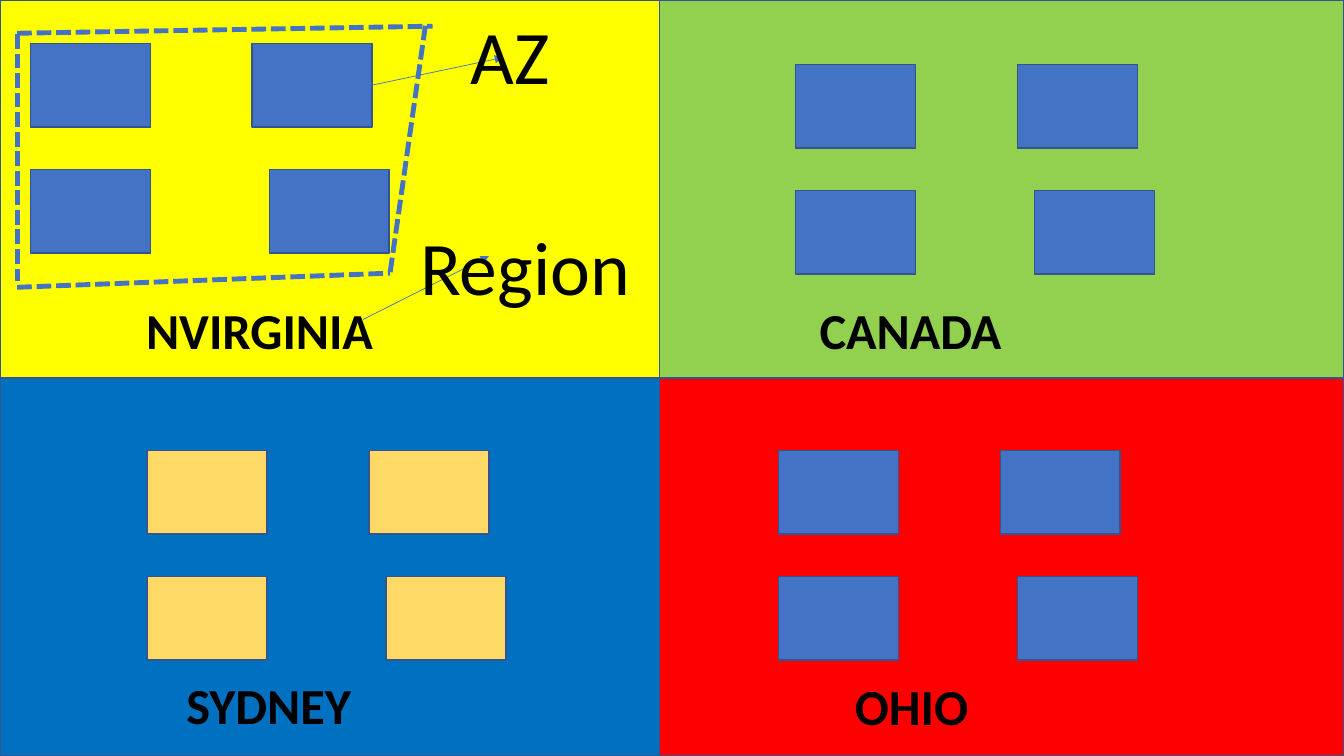
from pptx import Presentation
from pptx import util as u
from pptx.dml.color import RGBColor
from pptx.enum import dml, shapes, text
from pptx.oxml.ns import qn
from lxml import etree

# Content, in px at 100 px to the inch
PX = 9144
WIDTH, HEIGHT = 1333, 750
SPLIT_X, SPLIT_Y = 654, 375
BLUE, SAND, EDGE, BLACK = "4472C4", "FFD966", "325491", "000000"

# name, (column, row), background, zone colour, first zone, label box
REGIONS = [
    ("NVIRGINIA", (0, 0), "FFFF00", BLUE, (30, 43), (135, 292, 248, 71)),
    ("CANADA", (1, 0), "92D050", BLUE, (789, 64), (803, 292, 203, 71)),
    ("SYDNEY", (0, 1), "0070C0", SAND, (146, 447), (175, 664, 185, 71)),
    ("OHIO", (1, 1), "FF0000", BLUE, (772, 447), (838, 665, 134, 71)),
]
ZONE_SIZE = (119, 83)
ZONE_OFFSETS = [(0, 0), (220, 0), (0, 125), (237, 125)]
BOUNDARY = [
    ((17, 34), (17, 279)),
    ((17, 285), (387, 271)),
    ((387, 270), (422, 25)),
    ((17, 33), (429, 26)),
]
REGION_ARROW = ((360, 317), (485, 254))
ZONE_ARROW = ((369, 84), (499, 57))
REGION_NOTE = ("Region", (407, 213, 230, 101))
ZONE_NOTE = ("AZ", (457, 4, 99, 101))

presentation = Presentation()
presentation.slide_width, presentation.slide_height = WIDTH * PX, HEIGHT * PX
slide = presentation.slides.add_slide(presentation.slide_layouts[6])


def color(value):
    return RGBColor.from_string(value)


def add_rectangle(box, fill):
    shape = slide.shapes.add_shape(shapes.MSO_SHAPE.RECTANGLE, *(v * PX for v in box))
    shape.shadow.inherit = False
    shape.fill.solid()
    shape.fill.fore_color.rgb = color(fill)
    shape.line.color.rgb = color(EDGE)
    shape.line.width = u.Pt(1)
    return shape


def add_text(words, box, size, bold=False):
    frame = slide.shapes.add_textbox(*(v * PX for v in box)).text_frame
    frame.word_wrap = False
    frame.auto_size = text.MSO_AUTO_SIZE.SHAPE_TO_FIT_TEXT
    frame.text = words
    font = frame.paragraphs[0].runs[0].font
    font.name, font.size, font.bold = "Calibri", u.Pt(size), bold
    font.color.rgb = color(BLACK)


def add_line(start, end, width):
    points = [v * PX for v in start + end]
    connector = slide.shapes.add_connector(shapes.MSO_CONNECTOR.STRAIGHT, *points)
    connector.line.color.rgb = color(BLUE)
    connector.line.width = u.Pt(width)
    etree.SubElement(connector._element.spPr, qn("a:effectLst"))
    return connector


def add_arrow(start, end):
    connector = add_line(start, end, 0.5)
    line = connector.line._get_or_add_ln()
    etree.SubElement(line, qn("a:tailEnd"), type="triangle")
    return connector


# Region backgrounds
columns = [(0, SPLIT_X), (SPLIT_X, WIDTH - SPLIT_X)]
rows = [(0, SPLIT_Y), (SPLIT_Y, HEIGHT - SPLIT_Y)]
for name, (column, row), background, zone_fill, origin, label in REGIONS:
    (left, width), (top, height) = columns[column], rows[row]
    add_rectangle((left, top, width, height), background)

# Availability zones and region labels
zones = {}
for name, cell, background, zone_fill, (left, top), label in REGIONS:
    zones[name] = [add_rectangle((left + dx, top + dy, *ZONE_SIZE), zone_fill)
                   for dx, dy in ZONE_OFFSETS]
    add_text(name, label, 36, bold=True)

# Region callout
add_arrow(*REGION_ARROW)
add_text(*REGION_NOTE, 54)

# Dashed boundary around the first region's zones
for start, end in BOUNDARY:
    add_line(start, end, 3.5).line.dash_style = dml.MSO_LINE.SQUARE_DOT

# Zone callout
add_arrow(*ZONE_ARROW).begin_connect(zones["NVIRGINIA"][1], 3)
add_text(*ZONE_NOTE, 54)

presentation.save("out.pptx")
